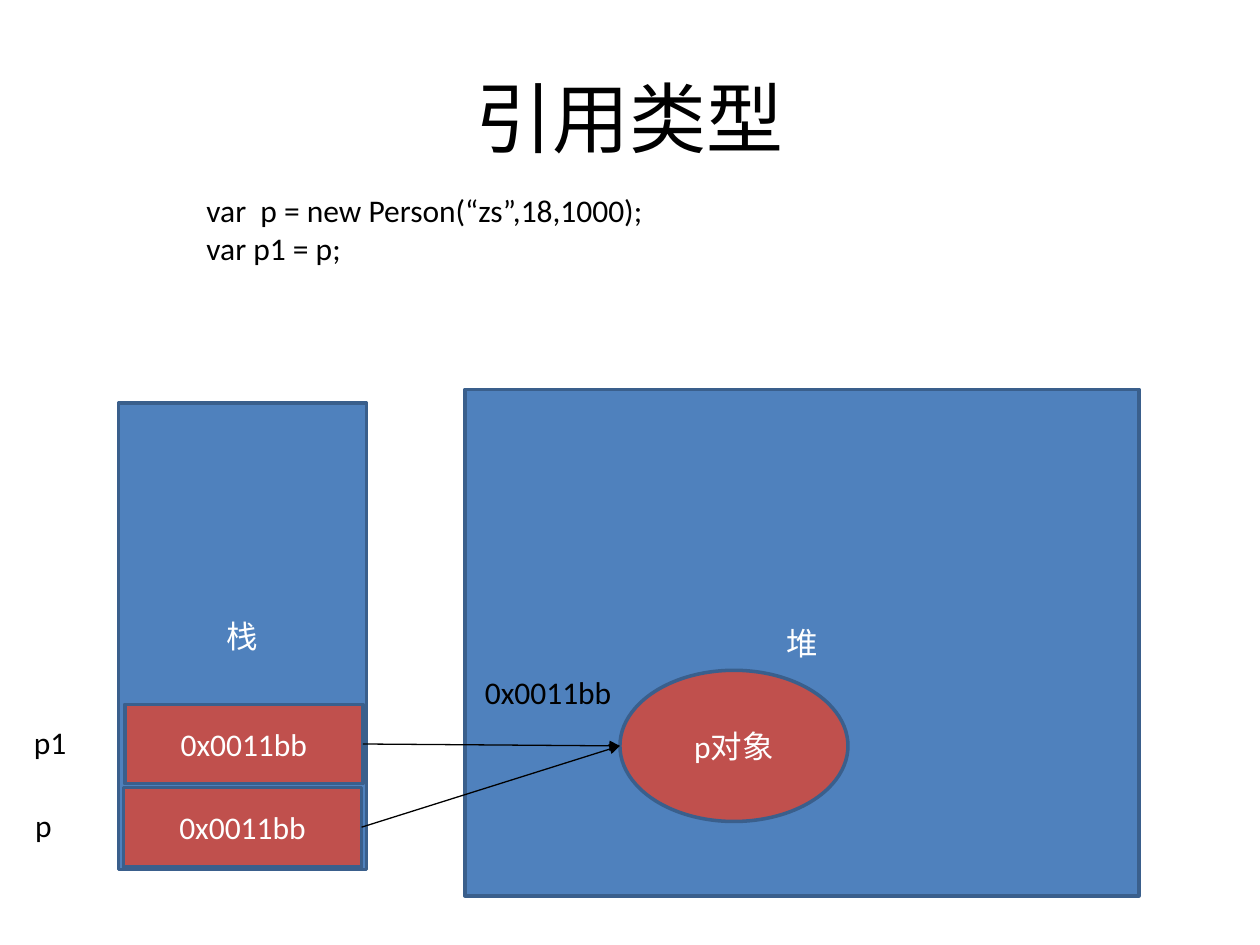
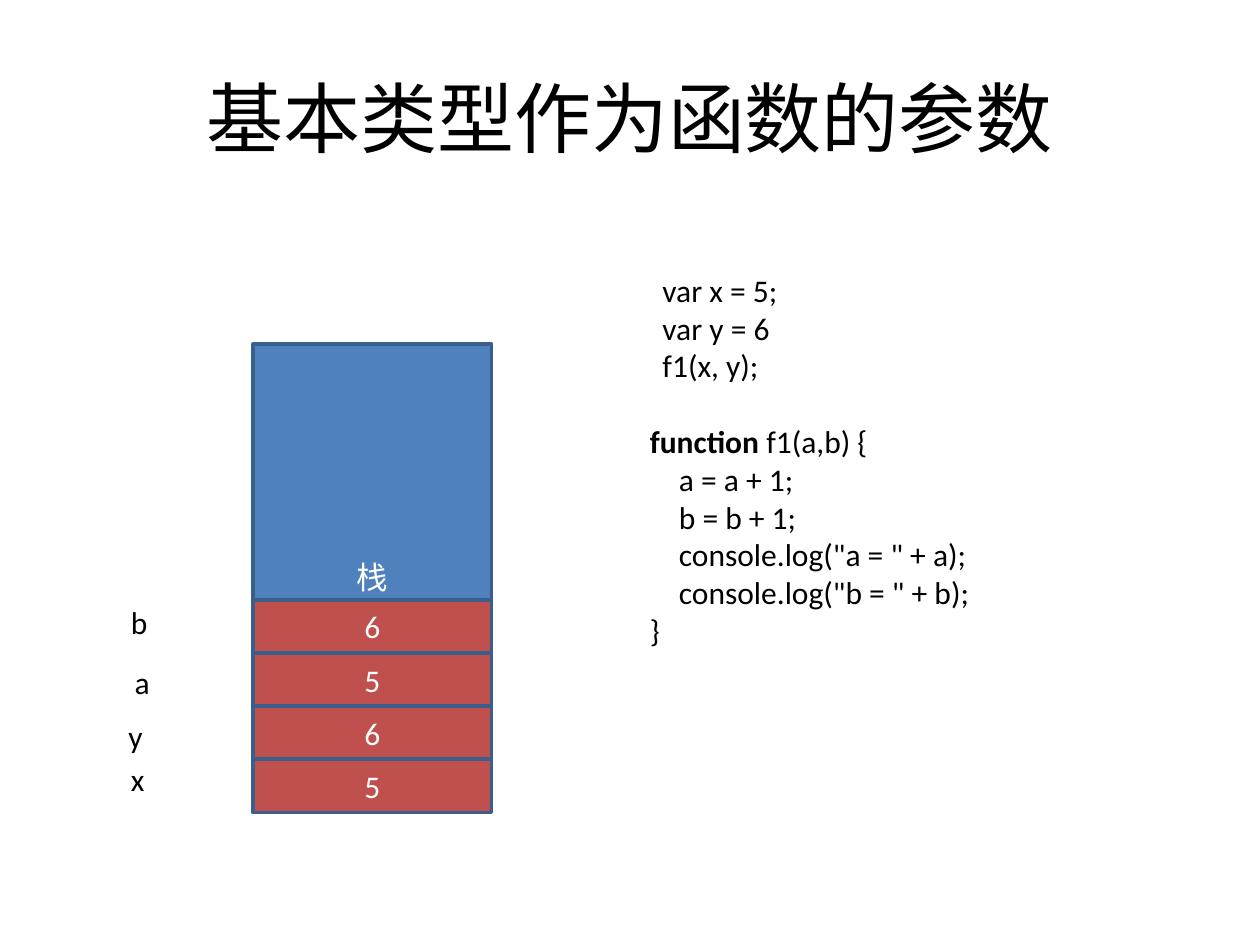
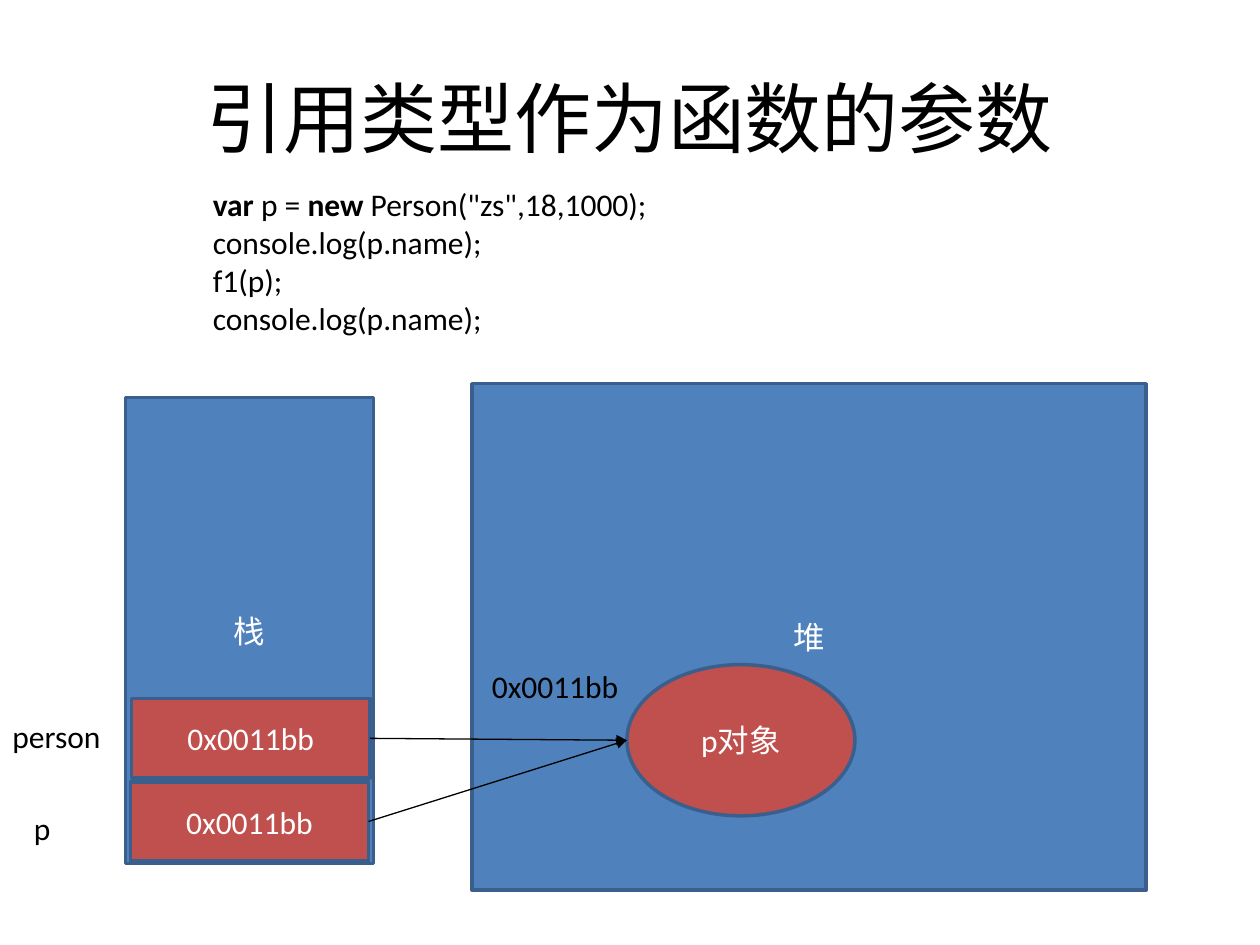
from dataclasses import dataclass

from lxml import etree
from pptx import Presentation
from pptx import util as u
from pptx.dml.color import RGBColor
from pptx.enum import shapes, text
from pptx.oxml.ns import qn

COLUMNS, ROWS = 100, 75
SLIDE_WIDTH, SLIDE_HEIGHT = u.Inches(10), u.Inches(7.5)


@dataclass(frozen=True)
class Theme:
    font: str = "Calibri"
    title_size: float = 44
    body_size: float = 18
    ink: str = "000000"
    paper: str = "FFFFFF"
    memory: str = "4F81BD"
    value: str = "C0504D"
    outline: str = "3A5F8C"
    outline_width: float = 2
    arrow_width: float = 0.75
    code_indent: float = 0.23


@dataclass(frozen=True)
class Area:
    column: float
    row: float
    columns: float
    rows: float

    def shifted(self, columns: float, rows: float) -> "Area":
        return Area(self.column + columns, self.row + rows, self.columns, self.rows)

    def lengths(self) -> tuple:
        return across(self.column), down(self.row), across(self.columns), down(self.rows)


@dataclass(frozen=True)
class Label:
    words: str
    area: Area


@dataclass(frozen=True)
class Variable:
    label: Label
    cell: Area


THEME = Theme()
TITLE = Area(5, 3, 90, 12.5)
ADDRESS = "0x0011bb"
STACK, HEAP = "栈", "堆"
RECTANGLE = shapes.MSO_SHAPE.RECTANGLE
OVAL = shapes.MSO_SHAPE.OVAL


def across(columns: float) -> int:
    return round(SLIDE_WIDTH * columns / COLUMNS)


def down(rows: float) -> int:
    return round(SLIDE_HEIGHT * rows / ROWS)


def write(box, words: str, *, size: float = THEME.body_size, color: str = THEME.ink,
          align=text.PP_ALIGN.LEFT, anchor=text.MSO_ANCHOR.TOP, wrap: bool = True) -> None:
    frame = box.text_frame
    frame.word_wrap = wrap
    frame.vertical_anchor = anchor
    if not wrap:
        frame.auto_size = text.MSO_AUTO_SIZE.SHAPE_TO_FIT_TEXT
    for number, line in enumerate(words.split("\n")):
        para = frame.add_paragraph() if number else frame.paragraphs[0]
        para.alignment = align
        if line.startswith("\t"):
            para._p.get_or_add_pPr().set("marL", str(u.Inches(THEME.code_indent)))
        for position, piece in enumerate(line.strip("\t").split("**")):
            if piece:
                span = para.add_run()
                span.text = piece
                span.font.name = THEME.font
                span.font.size = u.Pt(size)
                span.font.bold = position % 2 == 1
                span.font.color.rgb = RGBColor.from_string(color)


def add_page(deck, title: str):
    page = deck.slides.add_slide(deck.slide_layouts[6])
    write(page.shapes.add_textbox(*TITLE.lengths()), title, size=THEME.title_size,
          align=text.PP_ALIGN.CENTER, anchor=text.MSO_ANCHOR.MIDDLE)
    return page


def add_label(page, label: Label) -> None:
    write(page.shapes.add_textbox(*label.area.lengths()), label.words, wrap=False)


def add_block(page, area: Area, words: str, fill: str, outline=RECTANGLE):
    block = page.shapes.add_shape(outline, *area.lengths())
    block.shadow.inherit = False
    block.fill.solid()
    block.fill.fore_color.rgb = RGBColor.from_string(fill)
    block.line.color.rgb = RGBColor.from_string(THEME.outline)
    block.line.width = u.Pt(THEME.outline_width)
    write(block, words, color=THEME.paper, align=text.PP_ALIGN.CENTER,
          anchor=text.MSO_ANCHOR.MIDDLE)
    return block


def add_arrow(page, cell, target) -> None:
    arrow = page.shapes.add_connector(
        shapes.MSO_CONNECTOR.STRAIGHT, cell.left + cell.width, cell.top + cell.height // 2,
        target.left, target.top + target.height // 2)
    arrow.begin_connect(cell, 3)
    arrow.line.color.rgb = RGBColor.from_string(THEME.ink)
    arrow.line.width = u.Pt(THEME.arrow_width)
    properties = arrow._element.spPr
    etree.SubElement(properties.find(qn("a:ln")), qn("a:tailEnd"), type="triangle")
    etree.SubElement(properties, qn("a:effectLst"))


def add_reference_page(deck, title: str, code: Label, names: tuple[Label, Label],
                       shift: tuple[float, float] = (0, 0)) -> None:
    page = add_page(deck, title)
    add_label(page, code)
    add_block(page, Area(9.4, 32, 19.7, 37).shifted(*shift), STACK, THEME.memory)
    add_block(page, Area(36.9, 30.9, 53.5, 40.2).shifted(*shift), HEAP, THEME.memory)
    person = add_block(page, Area(49.2, 53.2, 18.1, 12.0).shifted(*shift), "p对象",
                       THEME.value, OVAL)
    add_label(page, Label(ADDRESS, Area(37.5, 52.9, 12.2, 4).shifted(*shift)))
    cells = (Area(9.8, 62.5, 18.9, 6.3), Area(9.9, 55.9, 18.9, 6.3))
    for variable in (Variable(name, cell.shifted(*shift)) for name, cell in zip(names, cells)):
        add_label(page, variable.label)
        cell = add_block(page, variable.cell, ADDRESS, THEME.value)
        add_arrow(page, cell, person)


def add_value_page(deck) -> None:
    page = add_page(deck, "基本类型作为函数的参数")
    add_block(page, Area(20.1, 27.3, 18.9, 37), STACK, THEME.memory)
    add_label(page, Label("var x = 5;\nvar y = 6\nf1(x, y);", Area(51.6, 21, 11.3, 10.1)))
    add_label(page, Label(
        "**function** f1(a,b) {\n\ta = a + 1;\n\tb = b + 1;\n"
        '\tconsole.log("a = " + a);\n\tconsole.log("b = " + b);\n}',
        Area(50.6, 33, 27.5, 19.2)))
    top, pitch = 47.6, 4.23
    names = (Label("b", Area(9.4, 47.4, 3.4, 4)), Label("a", Area(9.7, 52.1, 3.2, 4)),
             Label("y", Area(9.2, 56.4, 3.2, 4)), Label("x", Area(9.4, 59.8, 3.1, 4)))
    for number, (name, value) in enumerate(zip(names, "6565")):
        add_label(page, name)
        add_block(page, Area(20.1, top + number * pitch, 18.9, 4.2), value, THEME.value)


def main() -> None:
    deck = Presentation()
    deck.slide_width, deck.slide_height = SLIDE_WIDTH, SLIDE_HEIGHT
    add_reference_page(
        deck, "引用类型",
        Label("var  p = new Person(“zs”,18,1000);\nvar p1 = p;", Area(15.4, 14.7, 37.1, 7.1)),
        (Label("p", Area(1.8, 63.5, 3.4, 4)), Label("p1", Area(1.7, 56.9, 4.6, 4))))
    add_value_page(deck)
    add_reference_page(
        deck, "引用类型作为函数的参数",
        Label('**var** p = **new** Person("zs",18,1000);\nconsole.log(p.name);\n'
              "f1(p);\nconsole.log(p.name);", Area(15.9, 14.2, 36.8, 13.1)),
        (Label("p", Area(1.7, 63.7, 3.4, 4)), Label("person", Area(0, 56.4, 9.1, 4))),
        shift=(0.55, -0.45))
    deck.save("out.pptx")


if __name__ == "__main__":
    main()
